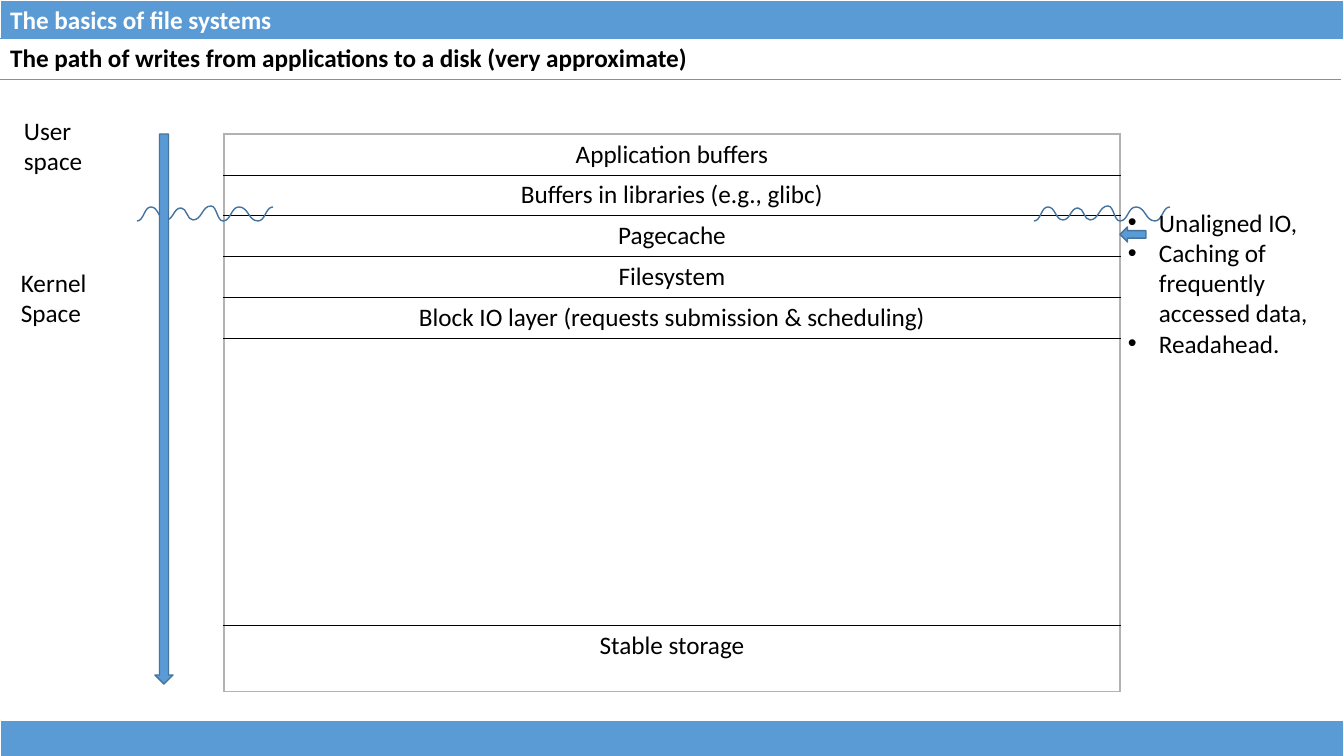
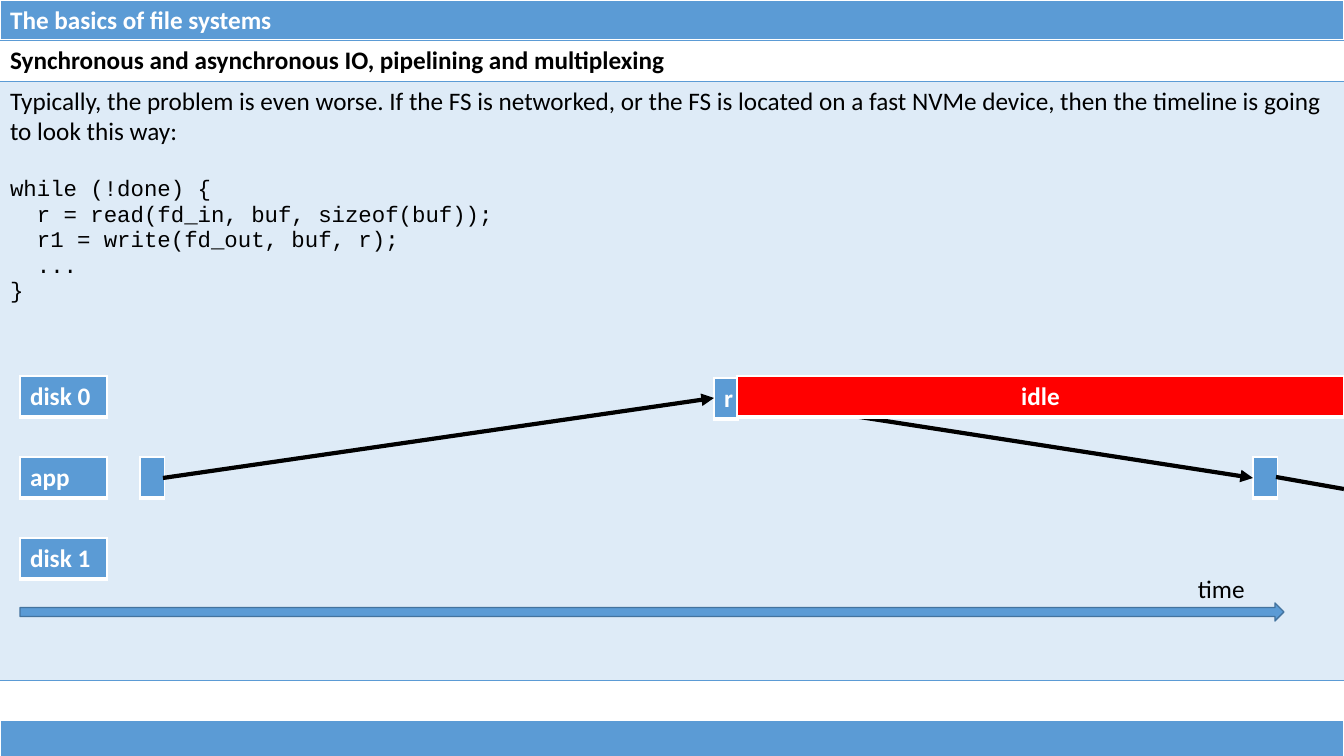
from dataclasses import dataclass
from itertools import pairwise

from lxml import etree
from pptx import Presentation
from pptx.dml.color import RGBColor
from pptx.enum.shapes import MSO_CONNECTOR, MSO_SHAPE
from pptx.enum.text import PP_ALIGN
from pptx.oxml.ns import qn
from pptx.util import Pt

LEFT, CENTER = PP_ALIGN.LEFT, PP_ALIGN.CENTER
DOWN_ARROW, LEFT_ARROW, RIGHT_ARROW = (
    MSO_SHAPE.DOWN_ARROW, MSO_SHAPE.LEFT_ARROW, MSO_SHAPE.RIGHT_ARROW)
STRAIGHT = MSO_CONNECTOR.STRAIGHT
PLAIN_TABLE_STYLE = "{2D5ABB26-0587-4C30-8999-92F81FD0307C}"
SLIDE_W, SLIDE_H = 1344, 756
EMU_PER_PX = 12192000 / SLIDE_W


@dataclass(frozen=True)
class Theme:
    blue: str = "5B9BD5"
    pale_blue: str = "DEEBF7"
    outline: str = "43739E"
    red: str = "FF0000"
    grey: str = "B2B2B2"
    black: str = "000000"
    white: str = "FFFFFF"
    font: str = "Calibri"
    code_font: str = "Courier New"
    text_size: int = 18
    code_size: int = 16
    hairline: float = 0.5


THEME = Theme()

# Cell borders: side -> (colour, points)
CHIP_BORDERS = {"L": (THEME.white, 1), "R": (THEME.white, 1),
                "T": (THEME.white, 1), "B": (THEME.white, 3)}
RULED_BORDERS = {"T": (THEME.blue, THEME.hairline), "B": (THEME.blue, THEME.hairline)}

# Content
TITLE = "The basics of file systems"
ROW_H, BAND_H = 41, 40
FOOTER_TOP = 720

WRITE_PATH_TITLE = "The path of writes from applications to a disk (very approximate)"
LAYER_H = 40
LAYERS = [
    ("Application buffers", LAYER_H),
    ("Buffers in libraries (e.g., glibc)", LAYER_H),
    ("Pagecache", LAYER_H),
    ("Filesystem", LAYER_H),
    ("Block IO layer (requests submission & scheduling)", LAYER_H),
    ("", 287),
    ("Stable storage", 66),
]
LAYERS_LEFT, LAYERS_TOP, LAYERS_W = 224, 134, 896
SPACES = [("User\vspace", (14, 110, 190, 72)), ("Kernel\vSpace", (11, 262, 195, 72))]
PAGECACHE_ROLES = ["Unaligned IO,", "Caching of\vfrequently\vaccessed data,", "Readahead."]
WAVE_LEFTS, WAVE_TOP = (137, 1034), 206
WAVE_TURNS = [(0, 15), (14, 1), (29, 14), (44, 2), (56, 14),
              (74, 0), (86, 15), (102, 1), (121, 15), (136, 1)]

ASYNC_TITLE = "Synchronous and asynchronous IO, pipelining and multiplexing"
ASYNC_INTRO = ("Typically, the problem is even worse. If the FS is networked, or the FS is "
               "located on a fast NVMe device, then the timeline is going to look this way:")
ASYNC_CODE = [
    "while (!done) {",
    "  r = read(fd_in, buf, sizeof(buf));",
    "  r1 = write(fd_out, buf, r);",
    "  ...\v}",
]
CODE_GAP_PT = 22
ASYNC_TOP, ASYNC_BODY_H = 40, 599
LANES = ["disk 0", "app", "disk 1"]
LANE_LEFT, LANE_TOP, LANE_PITCH, LANE_W = 20, 376, 81, 87
STEP_W = 23
APP_STEP_LEFTS = (140, 1253)
READ_LEFT = 714


def px(value):
    return round(value * EMU_PER_PX)


def px_box(box):
    return [px(value) for value in box]


def rgb(colour):
    return RGBColor.from_string(colour)


def style(paragraph, colour=THEME.black, bold=False, align=LEFT,
          font=THEME.font, size=THEME.text_size):
    paragraph.alignment = align
    for run in paragraph.runs:
        run.font.name = font
        run.font.size = Pt(size)
        run.font.bold = bold
        run.font.color.rgb = rgb(colour)


def set_borders(cell, borders):
    """Draw the given sides; the lines must stand before the fill."""
    properties = cell._tc.get_or_add_tcPr()
    sides = [side for side in "LRTB" if side in borders]
    for position, side in enumerate(sides):
        colour, width = borders[side]
        line = etree.Element(qn(f"a:ln{side}"), w=str(Pt(width)))
        fill = etree.SubElement(line, qn("a:solidFill"))
        etree.SubElement(fill, qn("a:srgbClr"), val=colour)
        properties.insert(position, line)


def add_plain_table(slide, left, top, width, row_heights):
    """Add a one-column table without style and return its cells."""
    frame = slide.shapes.add_table(len(row_heights), 1,
                                   *px_box((left, top, width, sum(row_heights))))
    table = frame.table
    table.first_row = table.horz_banding = False
    table._tbl.tblPr.find(qn("a:tableStyleId")).text = PLAIN_TABLE_STYLE
    for row, height in zip(table.rows, row_heights):
        row.height = px(height)
    return [row.cells[0] for row in table.rows]


def fill_cell(cell, text, borders, fill=None, **text_style):
    if text:
        cell.text_frame.text = text
        style(cell.text_frame.paragraphs[0], **text_style)
    if fill:
        cell.fill.solid()
        cell.fill.fore_color.rgb = rgb(fill)
    else:
        cell.fill.background()
    set_borders(cell, borders)


def add_chip(slide, left, top, width, text="", fill=THEME.blue, align=LEFT, height=ROW_H):
    """Add a filled one-cell table with white edges."""
    cell, = add_plain_table(slide, left, top, width, [height])
    fill_cell(cell, text, CHIP_BORDERS, fill, colour=THEME.white, bold=True, align=align)


def add_text(slide, box, paragraphs, wrap=True):
    frame = slide.shapes.add_textbox(*px_box(box)).text_frame
    frame.word_wrap = wrap
    for index, text in enumerate(paragraphs):
        paragraph = frame.add_paragraph() if index else frame.paragraphs[0]
        paragraph.text = text
        style(paragraph)
    return frame


def add_bullets(frame, indent):
    for paragraph in frame.paragraphs:
        properties = paragraph._p.get_or_add_pPr()
        properties.set("marL", str(px(indent)))
        properties.set("indent", str(-px(indent)))
        etree.SubElement(properties, qn("a:buFont"), typeface="Arial")
        etree.SubElement(properties, qn("a:buChar"), char="•")


def add_block_arrow(slide, preset, box):
    arrow = slide.shapes.add_shape(preset, *px_box(box))
    arrow.shadow.inherit = False
    arrow.fill.solid()
    arrow.fill.fore_color.rgb = rgb(THEME.blue)
    arrow.line.color.rgb = rgb(THEME.outline)
    arrow.line.width = Pt(1)


def round_segments(outline):
    """Turn straight segments into curves that lie level at both ends."""
    points = [(int(point.get("x")), int(point.get("y")))
              for point in outline._element.iter(qn("a:pt"))]
    segments = list(outline._element.iter(qn("a:lnTo")))
    for segment, ((x0, y0), (x1, y1)) in zip(segments, pairwise(points)):
        middle = (x0 + x1) // 2
        curve = etree.Element(qn("a:cubicBezTo"))
        for x, y in ((middle, y0), (middle, y1), (x1, y1)):
            etree.SubElement(curve, qn("a:pt"), x=str(x), y=str(y))
        segment.getparent().replace(segment, curve)


def add_wave(slide, left):
    start, *turns = [(px(left + x), px(WAVE_TOP + y)) for x, y in WAVE_TURNS]
    builder = slide.shapes.build_freeform(*start)
    builder.add_line_segments(turns, close=False)
    wave = builder.convert_to_shape()
    round_segments(wave)
    wave.shadow.inherit = False
    wave.fill.background()
    wave.line.color.rgb = rgb(THEME.outline)
    wave.line.width = Pt(1)


def add_link(slide, start, end, head=True):
    link = slide.shapes.add_connector(STRAIGHT, *px_box((*start, *end)))
    link.line.color.rgb = rgb(THEME.black)
    link.line.width = Pt(3)
    if head:
        etree.SubElement(link.line._get_or_add_ln(), qn("a:tailEnd"), type="triangle")
    etree.SubElement(link._element.spPr, qn("a:effectLst"))


def add_base_slide(deck):
    """Add a blank slide with the title band and the bottom band."""
    slide = deck.slides.add_slide(deck.slide_layouts[6])
    add_chip(slide, 0, 0, SLIDE_W, TITLE, height=BAND_H)
    add_chip(slide, 0, FOOTER_TOP, SLIDE_W, height=BAND_H)
    return slide


def build_write_path(deck):
    slide = add_base_slide(deck)
    heights = [height for _, height in LAYERS]
    cells = add_plain_table(slide, LAYERS_LEFT, LAYERS_TOP, LAYERS_W, heights)
    outer, inner = (THEME.grey, 1), (THEME.black, THEME.hairline)
    bottom = (THEME.grey, THEME.hairline)
    for cell, (name, _) in zip(cells, LAYERS):
        borders = {"L": outer, "R": outer,
                   "T": outer if cell is cells[0] else inner,
                   "B": bottom if cell is cells[-1] else inner}
        fill_cell(cell, name, borders, align=CENTER)
    for left in WAVE_LEFTS:
        add_wave(slide, left)
    for name, box in SPACES:
        add_text(slide, box, [name])
    add_block_arrow(slide, DOWN_ARROW, (155, LAYERS_TOP, 18, 550))
    subtitle, = add_plain_table(slide, 0, 38, 1341, [ROW_H])
    fill_cell(subtitle, WRITE_PATH_TITLE, RULED_BORDERS, bold=True)
    roles = add_text(slide, (1118, 202, 203, 163), PAGECACHE_ROLES, wrap=False)
    add_bullets(roles, 31)
    add_block_arrow(slide, LEFT_ARROW, (1120, 227, 26, 15))


def build_async_io(deck):
    slide = add_base_slide(deck)
    subtitle, body = add_plain_table(slide, 0, ASYNC_TOP, SLIDE_W, [ROW_H, ASYNC_BODY_H])
    fill_cell(subtitle, ASYNC_TITLE, RULED_BORDERS, bold=True)
    fill_cell(body, ASYNC_INTRO, RULED_BORDERS, THEME.pale_blue)
    for index, code in enumerate(ASYNC_CODE):
        paragraph = body.text_frame.add_paragraph()
        paragraph.text = code
        style(paragraph, font=THEME.code_font, size=THEME.code_size)
        if index == 0:
            paragraph.space_before = Pt(CODE_GAP_PT)

    lane_tops = [LANE_TOP + index * LANE_PITCH for index in range(len(LANES))]
    for name, top in zip(LANES, lane_tops):
        add_chip(slide, LANE_LEFT, top, LANE_W, name)
    disk_top, app_top, _ = lane_tops
    read_top = disk_top + 2
    disk_mid, app_mid = read_top + ROW_H // 2, app_top + ROW_H // 2 + 1
    read_end = READ_LEFT + STEP_W
    request_left, reply_left = APP_STEP_LEFTS

    add_chip(slide, READ_LEFT, read_top, STEP_W, "r", align=CENTER)
    for left in APP_STEP_LEFTS:
        add_chip(slide, left, app_top, STEP_W)
    add_link(slide, (request_left + STEP_W, app_mid), (READ_LEFT, disk_mid))
    add_block_arrow(slide, RIGHT_ARROW, (LANE_LEFT, 603, 1264, 18))
    add_text(slide, (1188, 568, 68, 40), ["time"], wrap=False)
    add_link(slide, (read_end, disk_mid), (reply_left, app_mid))
    add_link(slide, (reply_left + STEP_W, app_mid - 1), (SLIDE_W, app_mid + 11), head=False)
    add_chip(slide, read_end, disk_top, SLIDE_W - read_end, "idle", THEME.red, CENTER)


def main():
    deck = Presentation()
    deck.slide_width, deck.slide_height = px(SLIDE_W), px(SLIDE_H)
    build_write_path(deck)
    build_async_io(deck)
    deck.save("out.pptx")


if __name__ == "__main__":
    main()
